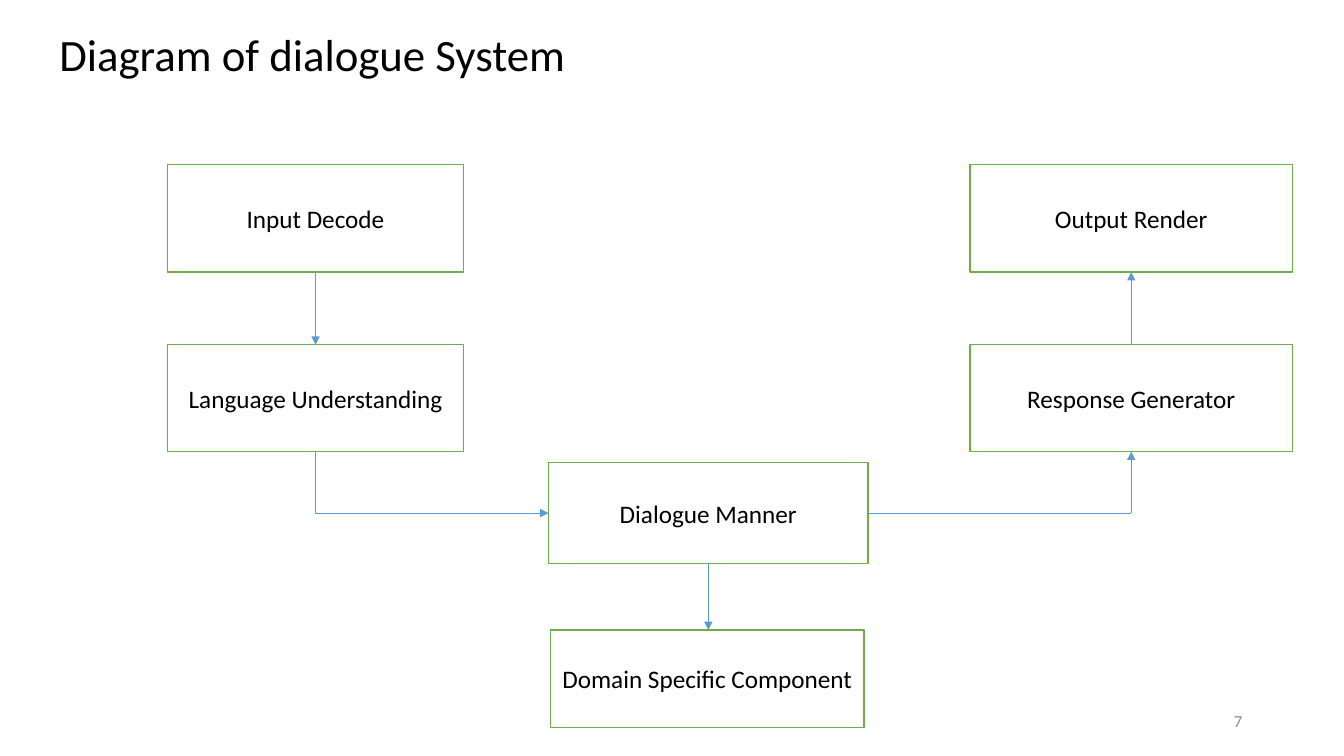
from lxml import etree
from pptx import Presentation
from pptx.dml.color import RGBColor
from pptx.enum.shapes import MSO_CONNECTOR, MSO_SHAPE
from pptx.enum.text import MSO_ANCHOR, PP_ALIGN
from pptx.oxml.ns import qn
from pptx.util import Inches, Pt

RECTANGLE = MSO_SHAPE.RECTANGLE
STRAIGHT, ELBOW = MSO_CONNECTOR.STRAIGHT, MSO_CONNECTOR.ELBOW
TOP, MIDDLE = MSO_ANCHOR.TOP, MSO_ANCHOR.MIDDLE
CENTER, RIGHT, JUSTIFY = PP_ALIGN.CENTER, PP_ALIGN.RIGHT, PP_ALIGN.JUSTIFY

FONT = "Calibri"
BLACK, GRAY, WHITE = "000000", "8C8C8C", "FFFFFF"
GREEN, BLUE = "70AD47", "5B9BD5"

TITLE = "Diagram of dialogue System"
PAGE_NUMBER = "7"
# Stage: left, top, width, height in inches
STAGES = {
    "Input Decode": (1.66, 1.63, 2.94, 1.07),
    "Output Render": (9.62, 1.63, 3.2, 1.07),
    "Language Understanding": (1.66, 3.42, 2.94, 1.06),
    "Response Generator": (9.62, 3.42, 3.2, 1.06),
    "Dialogue Manner": (5.44, 4.59, 3.17, 1),
    "Domain Specific Component": (5.46, 6.25, 3.11, 0.97),
}


def rgb(color):
    return RGBColor.from_string(color)


def write(shape, text, size, color, align, anchor, **spacing):
    frame = shape.text_frame
    frame.word_wrap = True
    frame.vertical_anchor = anchor
    paragraph = frame.paragraphs[0]
    for name, value in {"alignment": align, **spacing}.items():
        setattr(paragraph, name, value)
    run = paragraph.add_run()
    run.text = text
    for name, value in {"name": FONT, "size": Pt(size)}.items():
        setattr(run.font, name, value)
    run.font.color.rgb = rgb(color)


def add_label(slide, place, *text_format, **spacing):
    box = slide.shapes.add_textbox(*map(Inches, place))
    write(box, *text_format, **spacing)


def add_stage(slide, name, place):
    box = slide.shapes.add_shape(RECTANGLE, *map(Inches, place))
    box.shadow.inherit = False
    box.fill.solid()
    box.fill.fore_color.rgb = rgb(WHITE)
    box.line.color.rgb = rgb(GREEN)
    box.line.width = Pt(1)
    write(box, name, 18, BLACK, CENTER, MIDDLE)


def add_link(slide, start, end, kind=STRAIGHT, arrow=True):
    link = slide.shapes.add_connector(kind, *map(Inches, (*start, *end)))
    link.line.color.rgb = rgb(BLUE)
    link.line.width = Pt(0.5)
    if arrow:
        etree.SubElement(link.line._get_or_add_ln(), qn("a:tailEnd"), type="triangle")
    properties = link._element.spPr
    etree.SubElement(properties, qn("a:effectLst"))
    return properties


def add_corner_link(slide, start, end):
    """Arrow that runs down from start, then right to end."""
    # A one-bend connector runs across first, so it is mirrored and turned by 270°.
    middle_x, middle_y = (start[0] + end[0]) / 2, (start[1] + end[1]) / 2
    half_width, half_height = (end[1] - start[1]) / 2, (end[0] - start[0]) / 2
    properties = add_link(
        slide,
        (middle_x + half_width, middle_y - half_height),
        (middle_x - half_width, middle_y + half_height),
        ELBOW,
    )
    properties.find(qn("a:xfrm")).set("rot", str(270 * 60000))
    properties.find(qn("a:prstGeom")).set("prst", "bentConnector2")


def sides(name):
    """Midpoints of the top, bottom, left and right sides of a stage."""
    left, top, width, height = STAGES[name]
    x, y = left + width / 2, top + height / 2
    return {"top": (x, top), "bottom": (x, top + height),
            "left": (left, y), "right": (left + width, y)}


def main():
    deck = Presentation()
    deck.slide_width, deck.slide_height = Inches(13.33), Inches(7.5)
    slide = deck.slides.add_slide(deck.slide_layouts[6])

    add_label(slide, (0.49, 0.28, 12.6, 6.94), TITLE, 32, BLACK, JUSTIFY, TOP,
              line_spacing=0.9, space_before=Pt(10))
    for name, place in STAGES.items():
        add_stage(slide, name, place)

    decode, render, understanding, response, manner, domain = map(sides, STAGES)
    add_link(slide, decode["bottom"], understanding["top"])
    add_link(slide, response["top"], render["bottom"])
    add_corner_link(slide, understanding["bottom"], manner["left"])
    turn = (response["bottom"][0], manner["right"][1])
    add_link(slide, manner["right"], turn, arrow=False)
    add_link(slide, turn, response["bottom"])
    add_link(slide, manner["bottom"], (manner["bottom"][0], domain["top"][1]))

    add_label(slide, (9.42, 6.95, 3, 0.4), PAGE_NUMBER, 12, GRAY, RIGHT, MIDDLE)
    deck.save("out.pptx")


if __name__ == "__main__":
    main()
